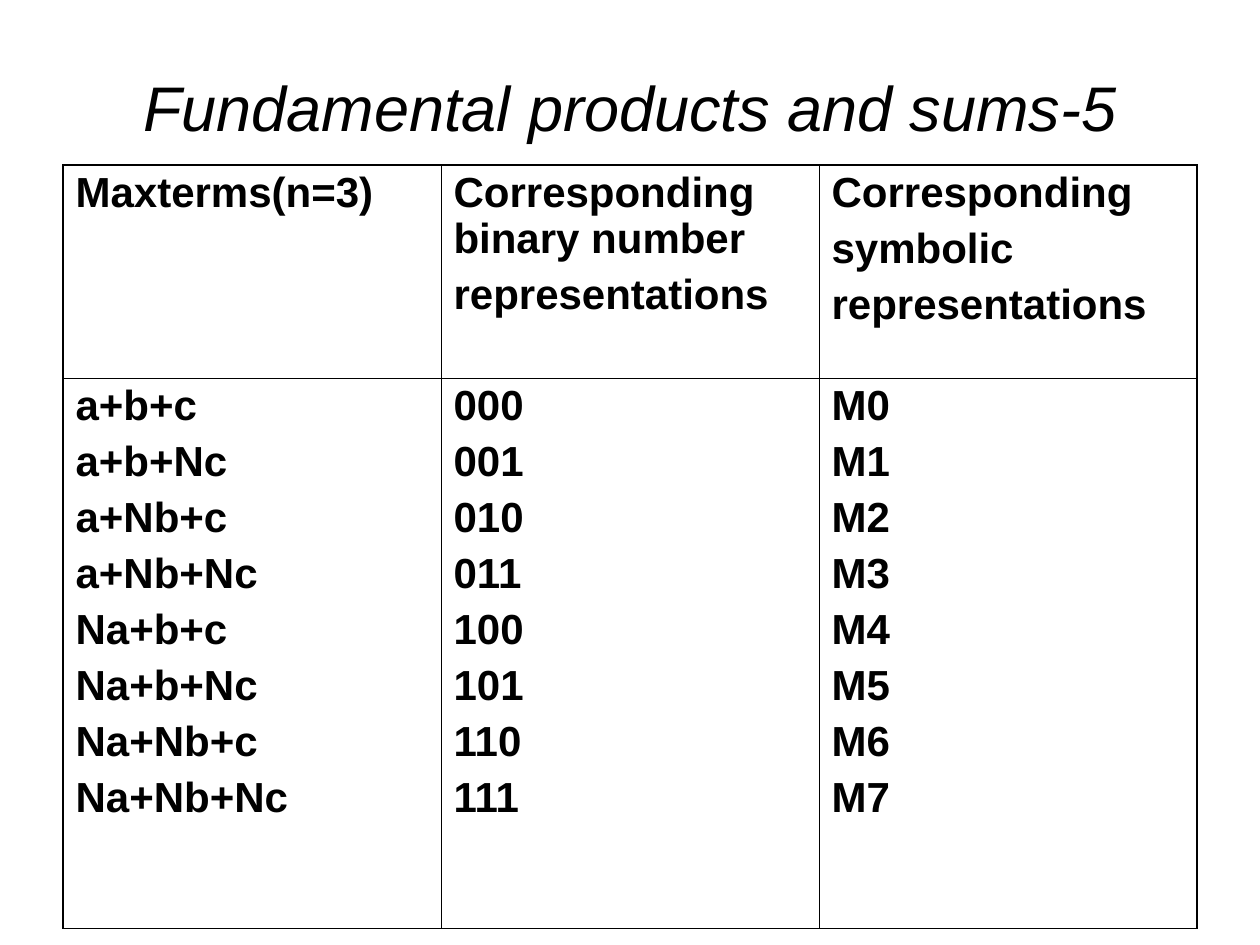
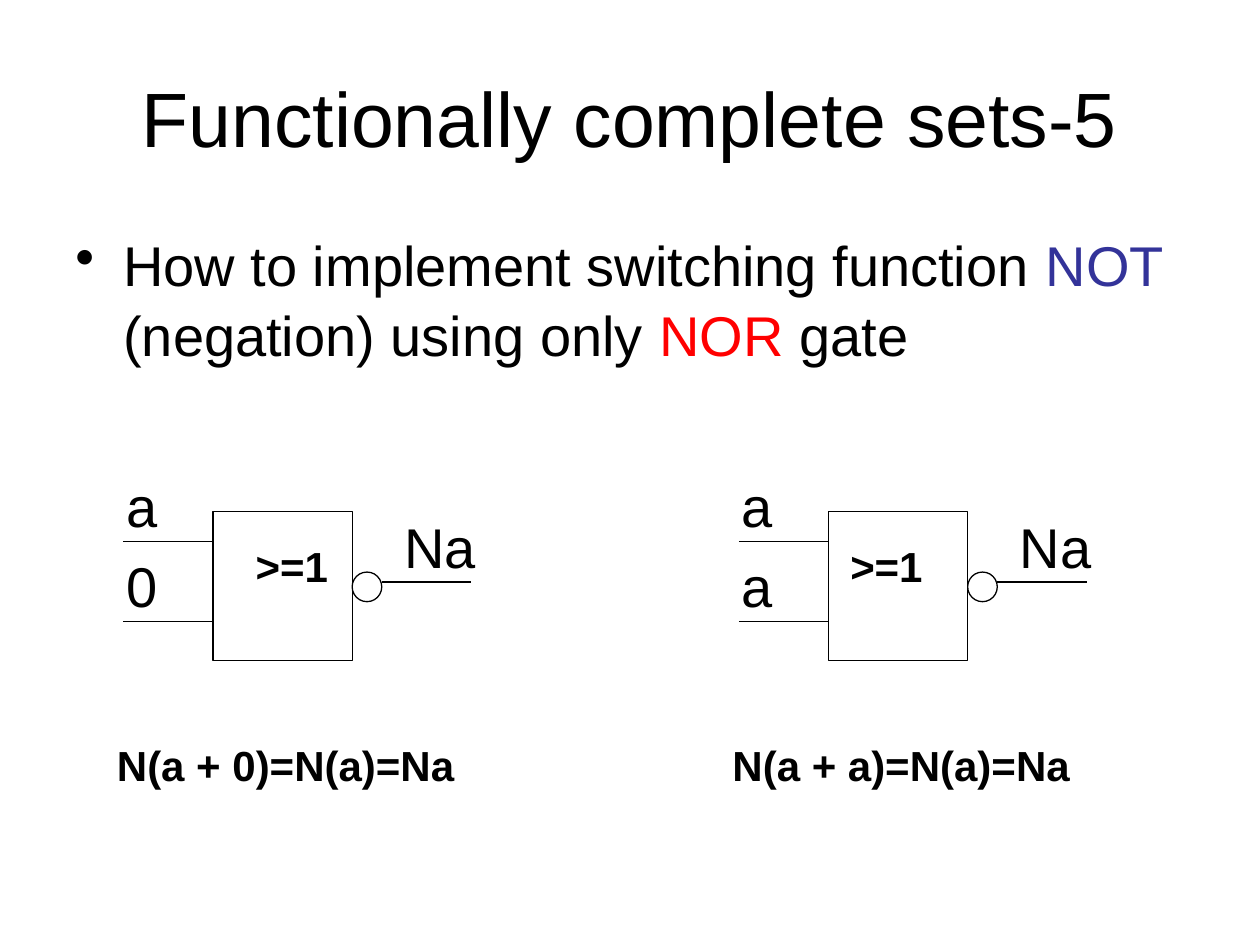
from dataclasses import dataclass
from typing import NamedTuple

from lxml.etree import SubElement
from pptx import Presentation
from pptx.dml.color import RGBColor
from pptx.enum.shapes import MSO_CONNECTOR, MSO_SHAPE
from pptx.enum.text import MSO_ANCHOR, PP_ALIGN
from pptx.oxml.ns import qn
from pptx.util import Emu, Inches, Pt

COLORS = {"ink": "000000", "not": "333399", "nor": "FF0000"}
FONT = "Arial"
WIDTH, HEIGHT = Inches(10), Inches(7.5)
COL, ROW = WIDTH / 100, HEIGHT / 75  # the grid has 100 columns and 75 rows

# Text styles
TITLE = {"size": Pt(44)}
ITALIC_TITLE = {"size": Pt(36), "italic": True}
BODY = {"size": Pt(32)}
BOLD = {"size": Pt(24), "bold": True}
CENTERED = {"alignment": PP_ALIGN.CENTER}
LOOSE = {"line_spacing": 1.05}
CELL = {"line_spacing": 0.97, "space_before": Pt(6)}

OUTER, INNER, STROKE = Pt(1.08), Pt(0.45), Pt(0.75)


class Box(NamedTuple):
    """A place on the grid, in columns and rows."""
    x: float
    y: float
    w: float
    h: float

    def emu(self) -> tuple[Emu, ...]:
        units = (COL, ROW, COL, ROW)
        return tuple(Emu(round(v * u)) for v, u in zip(self, units))


class Part(NamedTuple):
    text: str
    color: str = "ink"


@dataclass(frozen=True)
class Gate:
    """A NOR gate with both inputs, placed by the left end of its input wires."""
    x: float
    inputs: tuple[str, str]
    sign_x: float
    formula: str


# Content
TABLE_BOX = Box(5, 13.1, 90, 60.6)
TABLE_ROWS = (16.9, 43.7)
VARIABLES = "abc"
CODES = [f"{n:03b}" for n in range(8)]
MAXTERMS = ["+".join("N" * int(bit) + v for v, bit in zip(VARIABLES, code)) for code in CODES]
TABLE = [
    [["Maxterms(n=3)"],
     ["Corresponding binary number", "representations"],
     ["Corresponding", "symbolic", "representations"]],
    [MAXTERMS, CODES, [f"M{n}" for n in range(8)]],
]
QUESTION = [Part("How to implement switching function "), Part("NOT", "not"),
            Part(" (negation) using only "), Part("NOR", "nor"), Part(" gate")]
GATES = [Gate(9.8, ("a", "0"), 9.5, "N(a + 0)=N(a)=Na"),
         Gate(58.65, ("a", "a"), 7.85, "N(a + a)=N(a)=Na")]


def rgb(name: str) -> RGBColor:
    return RGBColor.from_string(COLORS[name])


def assign(obj, values: dict) -> None:
    for name, value in values.items():
        setattr(obj, name, value)


def write(p, parts: list[Part], font: dict, layout: dict) -> None:
    assign(p, layout)
    for part in parts:
        r = p.add_run()
        r.text = part.text
        assign(r.font, {"name": FONT, **font})
        r.font.color.rgb = rgb(part.color)


def add_text(s, box: Box, parts: list[Part], font: dict, layout: dict = LOOSE,
             anchor=MSO_ANCHOR.TOP):
    tf = s.shapes.add_textbox(*box.emu()).text_frame
    assign(tf, {"word_wrap": True, "vertical_anchor": anchor})
    write(tf.paragraphs[0], parts, font, layout)
    return tf.paragraphs[0]


def add_title(s, text: str, font: dict, height: float) -> None:
    add_text(s, Box(5, 3, 90, height), [Part(text)], font, CENTERED, MSO_ANCHOR.MIDDLE)


def add_bullet(p) -> None:
    pPr = p._p.get_or_add_pPr()
    indent = Inches(0.38)
    pPr.set("marL", str(indent))
    pPr.set("indent", str(-indent))
    SubElement(pPr, qn("a:buChar")).set("char", "•")


def add_outline(s, kind, box: Box) -> None:
    sp = s.shapes.add_shape(kind, *box.emu())
    sp.shadow.inherit = False
    sp.fill.background()
    sp.line.color.rgb = rgb("ink")
    sp.line.width = STROKE


def add_wire(s, x: float, y: float, length: float) -> None:
    left, top, width, _ = Box(x, y, length, 0).emu()
    line = s.shapes.add_connector(MSO_CONNECTOR.STRAIGHT, left, top, left + width, top)
    line.line.color.rgb = rgb("ink")
    line.line.width = STROKE
    SubElement(line._element.spPr, qn("a:effectLst"))


def add_borders(cell, outer: dict[str, bool]) -> None:
    tcPr = cell._tc.get_or_add_tcPr()
    for i, (side, is_outer) in enumerate(outer.items()):
        ln = tcPr.makeelement(qn(f"a:ln{side}"), {"w": str(OUTER if is_outer else INNER)})
        SubElement(SubElement(ln, qn("a:solidFill")), qn("a:srgbClr")).set("val", COLORS["ink"])
        tcPr.insert(i, ln)


def add_maxterm_table(s) -> None:
    n_rows, n_cols = len(TABLE), len(TABLE[0])
    frame = s.shapes.add_table(n_rows, n_cols, *TABLE_BOX.emu())
    table = frame.table
    assign(table, {"first_row": False, "horz_banding": False})
    for row, height in zip(table.rows, TABLE_ROWS):
        row.height = Emu(round(height * ROW))
    for i, row in enumerate(TABLE):
        for j, lines in enumerate(row):
            cell = table.cell(i, j)
            cell.fill.background()
            add_borders(cell, {"L": j == 0, "R": j == n_cols - 1,
                               "T": i == 0, "B": i == n_rows - 1})
            tf = cell.text_frame
            for k, line in enumerate(lines):
                p = tf.add_paragraph() if k else tf.paragraphs[0]
                write(p, [Part(line)], BOLD, CELL)


def add_gate(s, gate: Gate) -> None:
    x, wire = gate.x, 7.1
    # Body and negation circle
    add_outline(s, MSO_SHAPE.RECTANGLE, Box(x + wire, 40.6, 11.05, 11.8))
    add_outline(s, MSO_SHAPE.OVAL, Box(x + 18.15, 45.4, 2.35, 2.35))
    add_text(s, Box(x + gate.sign_x, 42.2, 8.7, 5), [Part(">=1")], BOLD)
    # Inputs and output
    for i, name in enumerate(gate.inputs):
        y = 43 + 6.3 * i
        add_wire(s, x, y, wire)
        add_text(s, Box(x - 0.75, y - 6.3, 5, 6.4), [Part(name)], BODY)
    add_wire(s, x + 20.5, 46.2, wire)
    add_text(s, Box(x + 21.3, 39.9, 7.9, 6.4), [Part("Na")], BODY)
    # Formula
    add_text(s, Box(x - 1.5, 58, 34.7, 5), [Part(gate.formula)], BOLD)


def main() -> None:
    prs = Presentation()
    assign(prs, {"slide_width": WIDTH, "slide_height": HEIGHT})
    blank = prs.slide_layouts[6]

    # Maxterm table
    s = prs.slides.add_slide(blank)
    add_title(s, "Fundamental products and sums-5", ITALIC_TITLE, 10.9)
    add_maxterm_table(s)

    # Negation with NOR gates
    s = prs.slides.add_slide(blank)
    add_title(s, "Functionally complete sets-5", TITLE, 12.5)
    add_bullet(add_text(s, Box(5, 17.5, 90, 49.5), QUESTION, BODY))
    for gate in GATES:
        add_gate(s, gate)

    prs.save("out.pptx")


if __name__ == "__main__":
    main()
